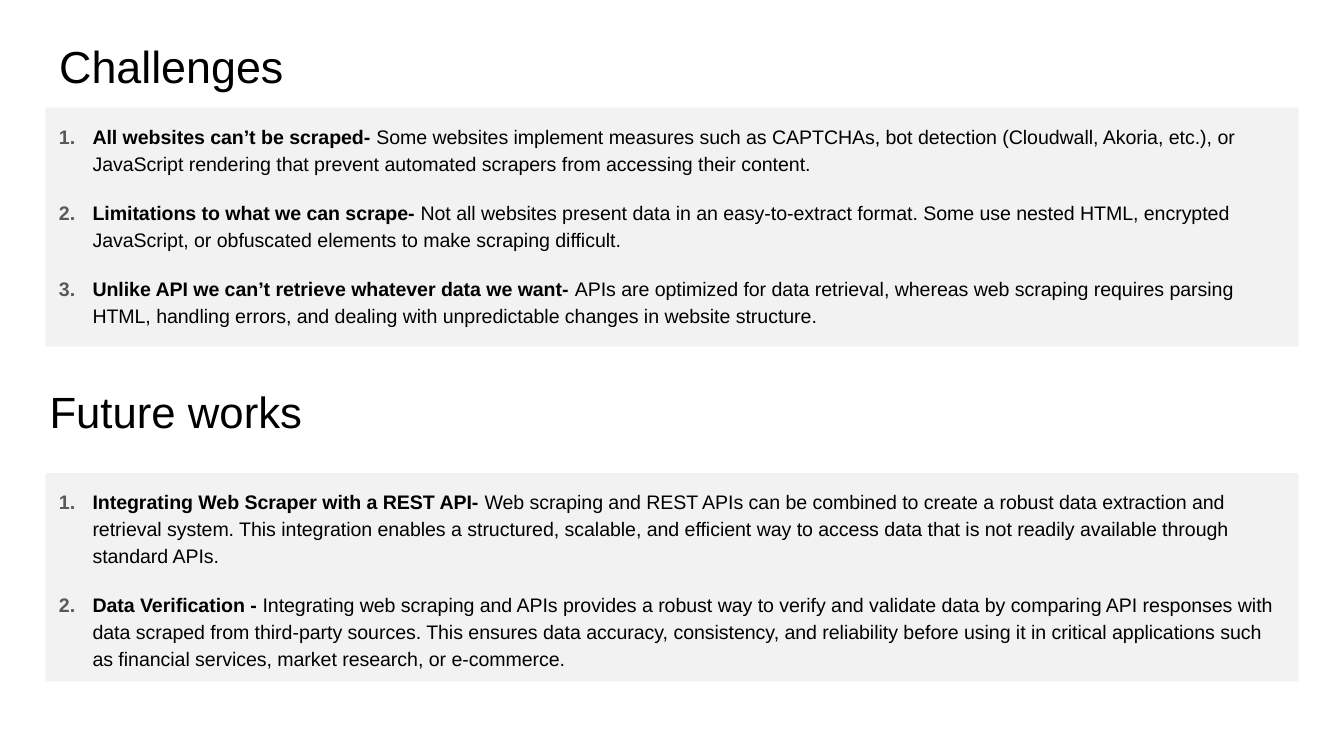
import dataclasses

import pptx
import pptx.dml.color
import pptx.enum.shapes
import pptx.enum.text
import pptx.util
from lxml import etree
from pptx.oxml.ns import qn

Inches = pptx.util.Inches
Pt = pptx.util.Pt
Anchor = pptx.enum.text.MSO_ANCHOR


@dataclasses.dataclass
class Theme:
    font: str = "Arial"
    text: str = "000000"
    number: str = "595959"
    panel: str = "F2F2F2"
    heading_size: float = 24
    subheading_size: float = 23.4
    body_size: float = 10.5


CHALLENGES = [
    ("All websites can’t be scraped- ",
     "Some websites implement measures such as CAPTCHAs, bot detection (Cloudwall, Akoria, etc.), or "
     "JavaScript rendering that prevent automated scrapers from accessing their content."),
    ("Limitations to what we can scrape- ",
     "Not all websites present data in an easy-to-extract format. Some use nested HTML, encrypted "
     "JavaScript, or obfuscated elements to make scraping difficult."),
    ("Unlike API we can’t retrieve whatever data we want- ",
     "APIs are optimized for data retrieval, whereas web scraping requires parsing HTML, handling errors, "
     "and dealing with unpredictable changes in website structure."),
]
FUTURE_WORKS = [
    ("Integrating Web Scraper with a REST API- ",
     "Web scraping and REST APIs can be combined to create a robust data extraction and retrieval system. "
     "This integration enables a structured, scalable, and efficient way to access data that is not readily "
     "available through standard APIs."),
    ("Data Verification - ",
     "Integrating web scraping and APIs provides a robust way to verify and validate data by comparing API "
     "responses with data scraped from third-party sources. This ensures data accuracy, consistency, and "
     "reliability before using it in critical applications such as financial services, market research, "
     "or e-commerce."),
]


class SlideBuilder:
    def __init__(self, slide, theme):
        self.slide = slide
        self.theme = theme

    def color(self, name):
        return pptx.dml.color.RGBColor.from_string(getattr(self.theme, name))

    def set_frame(self, frame, anchor):
        frame.word_wrap = True
        frame.auto_size = pptx.enum.text.MSO_AUTO_SIZE.NONE
        frame.vertical_anchor = anchor
        frame.margin_left = frame.margin_right = Inches(0.1)
        frame.margin_top = frame.margin_bottom = Inches(0.1)

    def style_run(self, run, size, bold=False):
        run.font.name = self.theme.font
        run.font.size = Pt(size)
        run.font.bold = bold
        run.font.color.rgb = self.color("text")

    def write_heading(self, holder, text, size):
        self.set_frame(holder.text_frame, Anchor.MIDDLE)
        holder.text_frame.text = text
        paragraph = holder.text_frame.paragraphs[0]
        paragraph.alignment = pptx.enum.text.PP_ALIGN.LEFT
        self.style_run(paragraph.runs[0], size)

    def title(self, text, left, top, width, height):
        title = self.slide.shapes.title
        title.left, title.top = Inches(left), Inches(top)
        title.width, title.height = Inches(width), Inches(height)
        self.write_heading(title, text, self.theme.heading_size)

    def subheading(self, text, left, top, width, height):
        box = self.slide.shapes.add_textbox(
            Inches(left), Inches(top), Inches(width), Inches(height))
        self.write_heading(box, text, self.theme.subheading_size)

    def number(self, paragraph):
        """Give the paragraph a hanging automatic number."""
        properties = paragraph._p.get_or_add_pPr()
        properties.set("marL", str(Inches(0.25)))
        properties.set("indent", str(-Inches(0.25)))
        bullet_color = etree.SubElement(properties, qn("a:buClr"))
        etree.SubElement(bullet_color, qn("a:srgbClr"), val=self.theme.number)
        etree.SubElement(properties, qn("a:buFont"), typeface=self.theme.font)
        etree.SubElement(properties, qn("a:buAutoNum"), type="arabicPeriod")

    def numbered_panel(self, items, left, top, width, height):
        panel = self.slide.shapes.add_shape(
            pptx.enum.shapes.MSO_SHAPE.RECTANGLE,
            Inches(left), Inches(top), Inches(width), Inches(height))
        panel.shadow.inherit = False
        panel.fill.solid()
        panel.fill.fore_color.rgb = self.color("panel")
        panel.line.fill.background()
        frame = panel.text_frame
        self.set_frame(frame, Anchor.TOP)
        for index, (lead, detail) in enumerate(items):
            paragraph = frame.add_paragraph() if index else frame.paragraphs[0]
            paragraph.alignment = pptx.enum.text.PP_ALIGN.LEFT
            paragraph.line_spacing = 1.15
            paragraph.space_after = Pt(12)
            self.number(paragraph)
            for text, bold in ((lead, True), (detail, False)):
                run = paragraph.add_run()
                run.text = text
                self.style_run(run, self.theme.body_size, bold)


def main():
    presentation = pptx.Presentation()
    presentation.slide_width = Inches(10)
    presentation.slide_height = presentation.slide_width * 9 // 16
    slide = presentation.slides.add_slide(presentation.slide_layouts[5])
    builder = SlideBuilder(slide, Theme())

    left, width = 0.34, 9.32
    builder.title("Challenges", left, 0.17, width, 0.63)
    builder.numbered_panel(CHALLENGES, left, 0.8, width, 1.78)
    builder.subheading("Future works", 0.27, 2.74, width, 0.63)
    builder.numbered_panel(FUTURE_WORKS, left, 3.52, width, 1.55)

    presentation.save("out.pptx")


if __name__ == "__main__":
    main()
